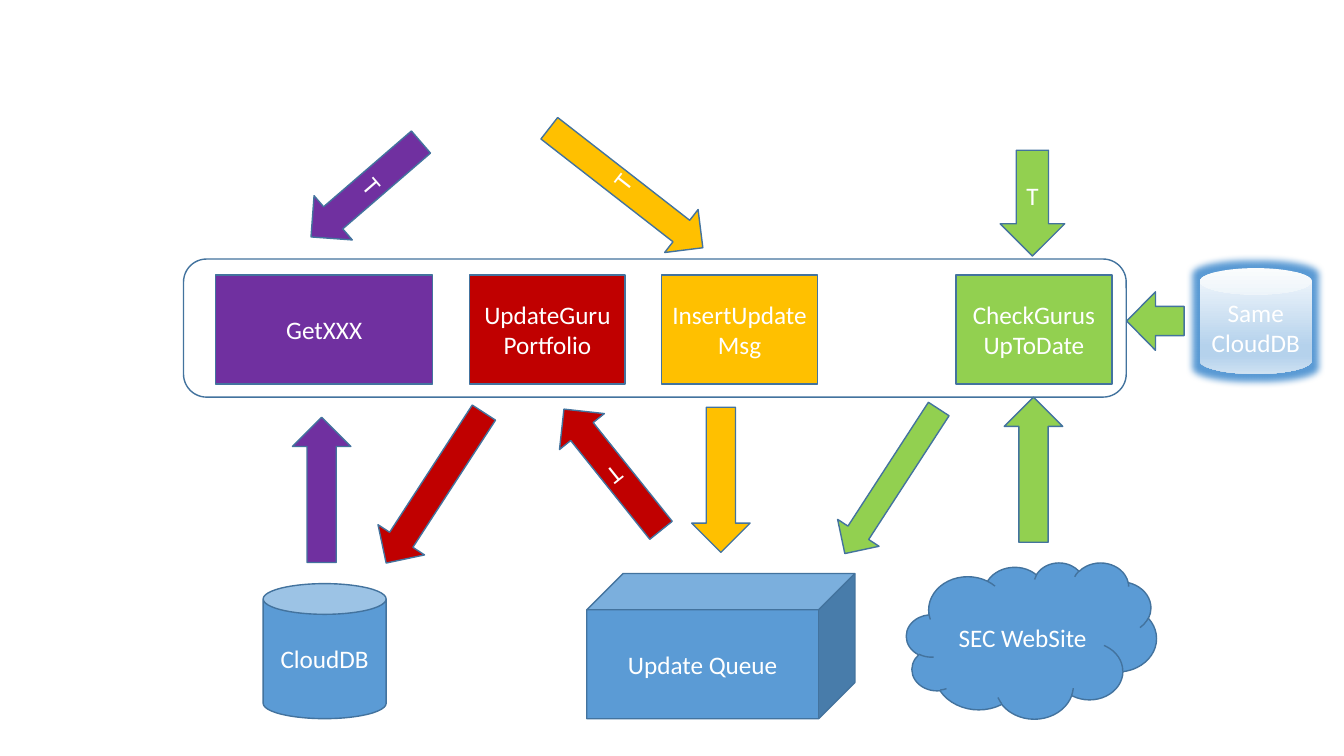
from lxml.etree import SubElement
from pptx import Presentation
from pptx.dml.color import RGBColor
from pptx.enum.shapes import MSO_SHAPE as Shape
from pptx.enum.text import MSO_ANCHOR, PP_ALIGN
from pptx.oxml import parse_xml
from pptx.oxml.ns import nsdecls, qn
from pptx.util import Inches, Pt

BLUE, PURPLE, GOLD, RED, GREEN = "5B9BD5", "7030A0", "FFC000", "C00000", "92D050"
OUTLINE, WHITE = "43739E", "FFFFFF"


def color(value):
    return RGBColor.from_string(value)


def add_block(kind, left, top, width, height, fill=None, text="", rotation=0):
    block = page.shapes.add_shape(kind, *map(Inches, (left, top, width, height)))
    block.rotation = rotation
    block.shadow.inherit = False
    block.line.color.rgb = color(OUTLINE)
    block.line.width = Pt(1)
    if fill:
        block.fill.solid()
        block.fill.fore_color.rgb = color(fill)
    else:
        block.fill.background()
    if text:
        frame = block.text_frame
        frame.word_wrap = True
        frame.vertical_anchor = MSO_ANCHOR.MIDDLE
        para = frame.paragraphs[0]
        para.alignment = PP_ALIGN.CENTER
        span = para.add_run()
        span.text = text
        for name, value in {"name": "Calibri", "size": Pt(18)}.items():
            setattr(span.font, name, value)
        span.font.color.rgb = color(WHITE)
    return block


deck = Presentation()
deck.slide_width, deck.slide_height = Inches(13.33), Inches(7.5)
page = deck.slides.add_slide(deck.slide_layouts[6])

stores = [
    (Shape.CAN, 2.61, 5.79, 1.22, 1.34, "CloudDB"),
    (Shape.CLOUD, 8.99, 5.58, 2.48, 1.55, "SEC WebSite"),
    (Shape.CUBE, 5.82, 5.69, 2.66, 1.44, "Update Queue"),
]
for kind, left, top, width, height, text in stores:
    add_block(kind, left, top, width, height, BLUE, text)

functions = [
    (2.14, 2.15, PURPLE, "GetXXX"),
    (4.66, 1.54, RED, "UpdateGuruPortfolio"),
    (6.56, 1.55, GOLD, "InsertUpdateMsg"),
    (9.48, 1.55, GREEN, "CheckGurusUpToDate"),
]
for left, width, fill, text in functions:
    add_block(Shape.RECTANGLE, left, 2.73, width, 1.08, fill, text)

arrows = [
    (2.9, 4.14, 0.58, 1.44, PURPLE, "", 180),
    (3.34, 1.16, 0.58, 1.44, PURPLE, "T", 49.2),
    (6.86, 4.04, 0.58, 1.44, GOLD, "", 0),
    (5.94, 0.9, 0.54, 1.93, GOLD, "T", 307.9),
    (5.79, 3.89, 0.57, 1.54, RED, "T", 141.3),
    (4.04, 3.95, 0.55, 1.78, RED, "", 33),
    (9.96, 3.94, 0.58, 1.44, GREEN, "", 180),
    (8.6, 3.92, 0.49, 1.71, GREEN, "", 33),
    (9.92, 1.49, 0.64, 1.05, GREEN, "T", 0),
    (11.17, 2.9, 0.58, 0.57, GREEN, "", 90),
]
for arrow in arrows:
    add_block(Shape.DOWN_ARROW, *arrow)

same_database = add_block(Shape.CAN, 11.9, 2.66, 1.11, 1.05, None, "Same CloudDB")
same_database.line.fill.background()
properties = same_database.element.spPr
gradient = parse_xml(f'<a:gradFill {nsdecls("a")}><a:gsLst/><a:lin ang="5400000"/></a:gradFill>')
for position, shade in [(0, "F7FAFD"), (74, "B5D2EC"), (83, "B5D2EC"), (100, "CEE1F2")]:
    stop = SubElement(gradient[0], qn("a:gs"), pos=str(position * 1000))
    SubElement(stop, qn("a:srgbClr"), val=shade)
properties.replace(properties.find(qn("a:noFill")), gradient)
glow = SubElement(properties.find(qn("a:effectLst")), qn("a:glow"), rad=str(Inches(0.14)))
SubElement(glow, qn("a:srgbClr"), val=BLUE)

add_block(Shape.ROUNDED_RECTANGLE, 1.82, 2.57, 9.35, 1.37)

deck.save("out.pptx")
